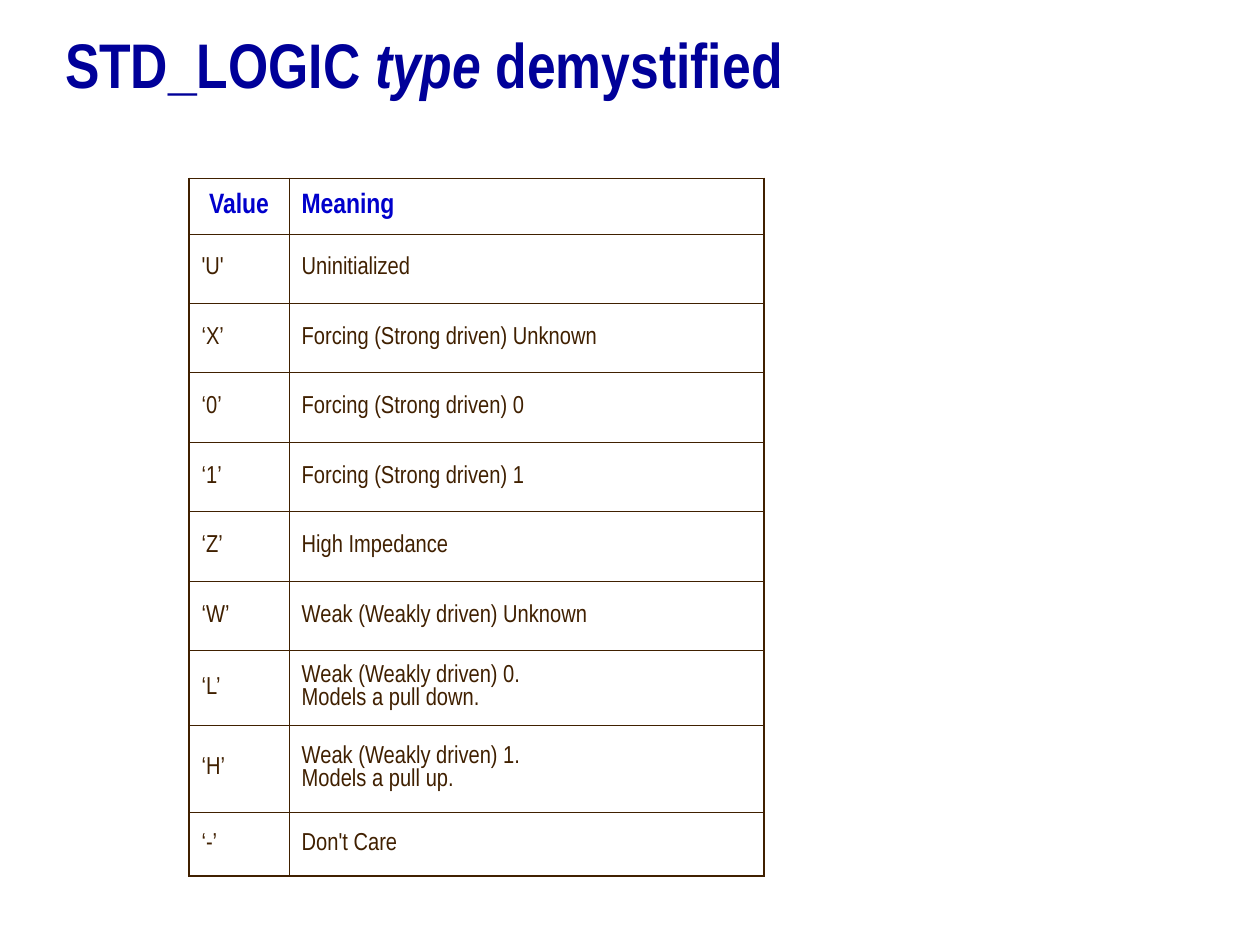
from pptx import Presentation
from pptx.dml.color import RGBColor
from pptx.enum.text import MSO_ANCHOR, PP_ALIGN
from pptx.oxml import parse_xml
from pptx.oxml.ns import nsdecls
from pptx.util import Pt

FONT = "Arial Narrow"
BROWN = "402000"
OUTER, INNER = 1.08, 0.45
COLUMN_WIDTHS = [57.2, 271.5]
ROW_HEIGHTS = [31.7] + [39.7] * 6 + [42.6, 49.7, 36.6]
ROWS = [
    ("Value", "Meaning"),
    ("'U'", "Uninitialized"),
    ("‘X’", "Forcing (Strong driven) Unknown"),
    ("‘0’", "Forcing (Strong driven) 0"),
    ("‘1’", "Forcing (Strong driven) 1"),
    ("‘Z’", "High Impedance"),
    ("‘W’", "Weak (Weakly driven) Unknown"),
    ("‘L’", "Weak (Weakly driven) 0.\vModels a pull down."),
    ("‘H’", "Weak (Weakly driven) 1.\vModels a pull up."),
    ("‘-’", "Don't Care"),
]


def color(value):
    return RGBColor.from_string(value)


def style_font(font, size, value, bold):
    font.name = FONT
    font.size = Pt(size)
    font.bold = bold
    font.color.rgb = color(value)


def add_title(page, left, top, width, height):
    box = page.shapes.title
    box.left, box.top, box.width, box.height = Pt(left), Pt(top), Pt(width), Pt(height)
    frame = box.text_frame
    frame.vertical_anchor = MSO_ANCHOR.MIDDLE
    para = frame.paragraphs[0]
    para.alignment = PP_ALIGN.LEFT
    style_font(para.font, 36, "000099", True)
    for text, italic in [("STD_LOGIC", False), (" type ", True), ("demystified", False)]:
        span = para.add_run()
        span.text = text
        span.font.italic = italic


def set_borders(cell, widths):
    properties = cell._tc.get_or_add_tcPr()
    for side, width in zip("LRTB", widths):
        properties.append(parse_xml(
            f'<a:ln{side} {nsdecls("a")} w="{Pt(width)}"><a:solidFill>'
            f'<a:srgbClr val="{BROWN}"/></a:solidFill></a:ln{side}>'))


def fill_cell(cell, text, header, centered):
    cell.fill.background()
    cell.vertical_anchor = MSO_ANCHOR.MIDDLE
    cell.margin_left = cell.margin_right = Pt(7.2)
    cell.margin_top = cell.margin_bottom = Pt(3.6)
    para = cell.text_frame.paragraphs[0]
    para.text = text
    para.alignment = PP_ALIGN.CENTER if centered else PP_ALIGN.LEFT
    if header:
        style_font(para.font, 16, "0000CC", True)
    else:
        style_font(para.font, 14, BROWN, False)


def add_value_table(page, left, top, width, height):
    last_row, last_column = len(ROWS) - 1, len(COLUMN_WIDTHS) - 1
    table = page.shapes.add_table(len(ROWS), len(COLUMN_WIDTHS),
                                  Pt(left), Pt(top), Pt(width), Pt(height)).table
    table.first_row = table.horz_banding = False
    for column, column_width in zip(table.columns, COLUMN_WIDTHS):
        column.width = Pt(column_width)
    for row, row_height in zip(table.rows, ROW_HEIGHTS):
        row.height = Pt(row_height)
    for i, texts in enumerate(ROWS):
        for j, text in enumerate(texts):
            cell = table.cell(i, j)
            edges = (j == 0, j == last_column, i == 0, i == last_row)
            set_borders(cell, [OUTER if edge else INNER for edge in edges])
            fill_cell(cell, text, header=i == 0, centered=i == 0 and j == 0)


def main():
    deck = Presentation()
    deck.slide_width, deck.slide_height = Pt(720), Pt(540)
    page = deck.slides.add_slide(deck.slide_layouts[5])
    page.background.fill.solid()
    page.background.fill.fore_color.rgb = color("FFFFFF")
    add_title(page, 30, 6, 660, 60)
    add_value_table(page, 108, 102, sum(COLUMN_WIDTHS), sum(ROW_HEIGHTS))
    deck.save("out.pptx")


if __name__ == "__main__":
    main()
